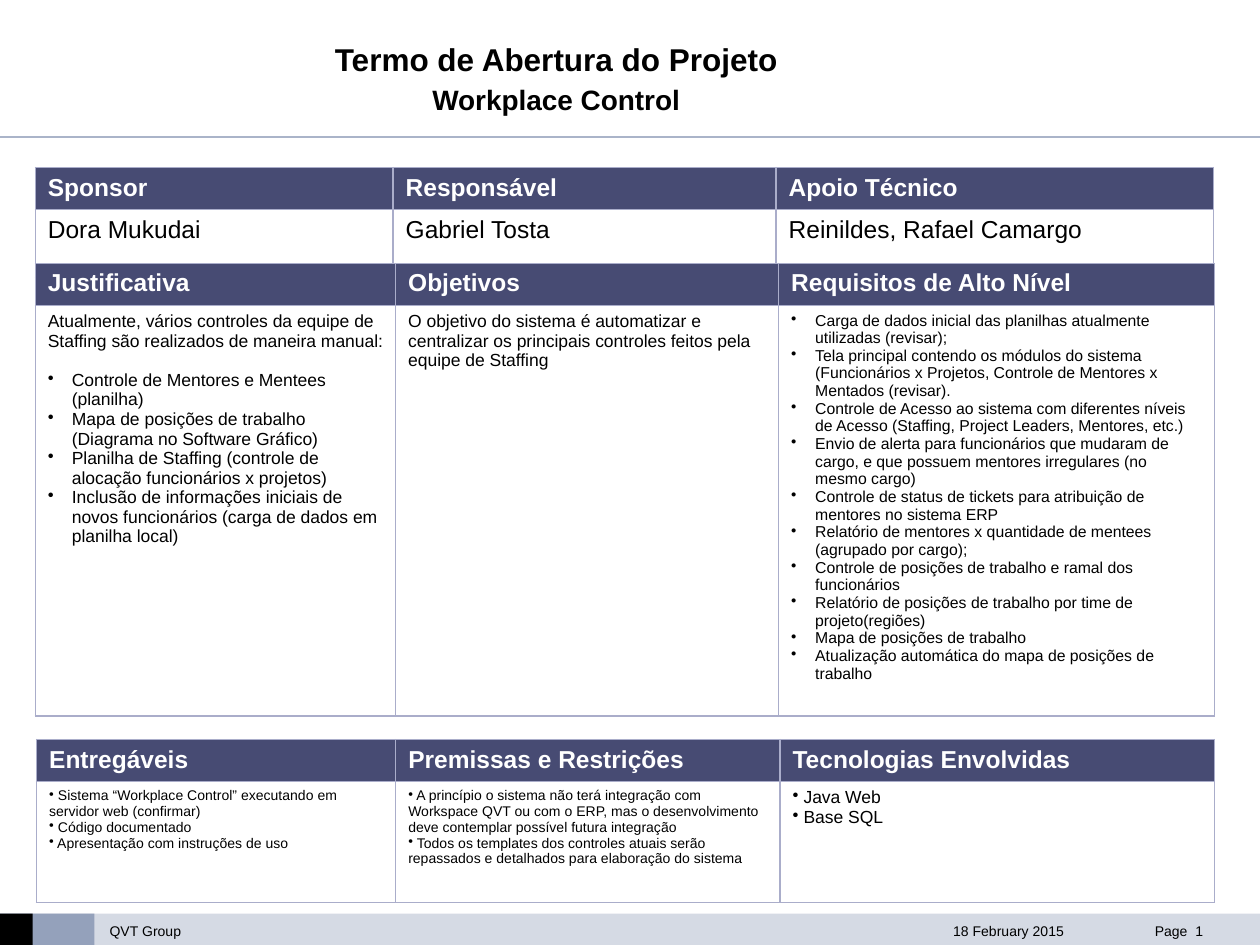
from lxml.etree import SubElement as Sub, Element
from pptx import Presentation
from pptx.dml.color import RGBColor as Rgb
from pptx.enum.shapes import MSO_CONNECTOR as Conn, MSO_SHAPE as Kind
from pptx.enum.text import MSO_ANCHOR as Anchor, MSO_AUTO_SIZE as Auto, PP_ALIGN as Align
from pptx.oxml.ns import qn
from pptx.util import Inches as In, Pt

WIDE, HIGH = 10, 7.5
FOOT = 7.25
HEAD = 0.32
HANG = 0.19
COLORS = {
    "rule": "AAB4C9", "band": "D5DAE4", "mid": "94A1BB", "black": "000000",
    "white": "FFFFFF", "head": "474B73", "edge": "AAADCA",
}

PEOPLE = [
    ("Sponsor", 14, None, ["Dora Mukudai"]),
    ("Responsável", 14, None, ["Gabriel Tosta"]),
    ("Apoio Técnico", 14, None, ["Reinildes, Rafael Camargo"]),
]
SCOPE = [
    ("Justificativa", 10, HANG, [
        "Controle de Mentores e Mentees (planilha)",
        "Mapa de posições de trabalho (Diagrama no Software Gráfico)",
        "Planilha de Staffing (controle de alocação funcionários x projetos)",
        "Inclusão de informações iniciais de novos funcionários "
        "(carga de dados em planilha local)",
    ], "Atualmente, vários controles da equipe de Staffing "
       "são realizados de maneira manual:"),
    ("Objetivos", 10, None, [
        "O objetivo do sistema é automatizar e centralizar os principais "
        "controles feitos pela equipe de Staffing",
    ]),
    ("Requisitos de Alto Nível", 9, HANG, [
        "Carga de dados inicial das planilhas atualmente utilizadas (revisar);",
        "Tela principal contendo os módulos do sistema (Funcionários x Projetos, "
        "Controle de Mentores x Mentados (revisar).",
        "Controle de Acesso ao sistema com diferentes níveis de Acesso "
        "(Staffing, Project Leaders, Mentores, etc.)",
        "Envio de alerta para funcionários que mudaram de cargo, e que possuem "
        "mentores irregulares (no mesmo cargo)",
        "Controle de status de tickets para atribuição de mentores no sistema ERP",
        "Relatório de mentores x quantidade de mentees (agrupado por cargo);",
        "Controle de posições de trabalho e ramal dos funcionários",
        "Relatório de posições de trabalho por time de projeto(regiões)",
        "Mapa de posições de trabalho",
        "Atualização automática do mapa de posições de trabalho",
    ]),
]
OUTPUT = [
    ("Entregáveis", 8, 0, [
        " Sistema “Workplace Control” executando em servidor web (confirmar)",
        " Código documentado",
        " Apresentação com instruções de uso",
    ]),
    ("Premissas e Restrições", 8, 0, [
        " A princípio o sistema não terá integração com Workspace QVT ou com o "
        "ERP, mas o desenvolvimento deve contemplar possível futura integração",
        " Todos os templates dos controles atuais serão repassados e detalhados "
        "para elaboração do sistema",
    ]),
    ("Tecnologias Envolvidas", 10, 0, [" Java Web", " Base SQL"]),
]


def color(name):
    return Rgb.from_string(COLORS[name])


def style(para, size, ink="black", bold=False):
    font = para.font
    font.name, font.size, font.bold = "Arial", Pt(size), bold
    font.color.rgb = color(ink)


def bullet(para, hang):
    props = para._p.get_or_add_pPr()
    props.set("marL", str(In(hang)))
    props.set("indent", str(-In(hang)))
    Sub(props, qn("a:buChar"), char="•")


def border(cell):
    props = cell._tc.get_or_add_tcPr()
    for spot, side in enumerate(("lnL", "lnR", "lnT", "lnB")):
        line = Element(qn("a:" + side), w=str(Pt(1)))
        fill = Sub(line, qn("a:solidFill"))
        Sub(fill, qn("a:srgbClr"), val=COLORS["edge"])
        props.insert(spot, line)


def write(cell, size, hang, items, lead=None):
    frame = cell.text_frame
    frame.text = "\n".join(([lead] if lead else []) + items)
    for spot, para in enumerate(frame.paragraphs):
        if lead and spot == 0:
            para.space_after = Pt(11.3)
        elif hang is not None:
            bullet(para, hang)
        style(para, size)


def grid(slide, left, top, cols, body, data):
    table = slide.shapes.add_table(
        2, len(cols), In(left), In(top), In(sum(cols)), In(HEAD + body)).table
    table.horz_banding = False
    for row, tall in zip(table.rows, (HEAD, body)):
        row.height = In(tall)
    for spot, (wide, (name, *text)) in enumerate(zip(cols, data)):
        table.columns[spot].width = In(wide)
        head, cell = table.cell(0, spot), table.cell(1, spot)
        head.text = name
        style(head.text_frame.paragraphs[0], 14, "white", True)
        head.fill.solid()
        head.fill.fore_color.rgb = color("head")
        write(cell, *text)
        cell.fill.background()
        border(head)
        border(cell)


def bar(slide, wide, fill):
    shape = slide.shapes.add_shape(
        Kind.RECTANGLE, 0, In(FOOT), In(wide), In(HIGH - FOOT))
    shape.shadow.inherit = False
    shape.fill.solid()
    shape.fill.fore_color.rgb = color(fill)
    shape.line.fill.background()


def label(slide, left, wide, text, align, pad=0):
    box = slide.shapes.add_textbox(In(left), In(7.22), In(wide), In(0.23))
    frame = box.text_frame
    frame.word_wrap = True
    frame.margin_left, frame.margin_top = In(pad), In(0.1)
    frame.margin_right = frame.margin_bottom = 0
    para = frame.paragraphs[0]
    para.text, para.alignment = text, align
    style(para, 8)


def rule(slide, top):
    line = slide.shapes.add_connector(
        Conn.STRAIGHT, 0, In(top), In(WIDE), In(top))
    line.line.color.rgb = color("rule")
    line.line.width = Pt(1)
    Sub(line._element.spPr, qn("a:effectLst"))


def title(slide, main, minor):
    shape = slide.shapes.title
    shape.left, shape.top = In(0.28), In(0.31)
    shape.width, shape.height = In(8.27), In(0.71)
    frame = shape.text_frame
    frame.auto_size, frame.vertical_anchor = Auto.NONE, Anchor.TOP
    frame.margin_left = frame.margin_right = 0
    frame.margin_top = frame.margin_bottom = 0
    para = frame.paragraphs[0]
    para.alignment, para.line_spacing = Align.CENTER, Pt(22)
    style(para, 18, bold=True)
    para.add_run().text = main
    para.add_line_break()
    run = para.add_run()
    run.text, run.font.size = minor, Pt(16)


def main():
    deck = Presentation()
    deck.slide_width, deck.slide_height = In(WIDE), In(HIGH)
    slide = deck.slides.add_slide(deck.slide_layouts[5])
    rule(slide, 1.09)
    for wide, fill in ((WIDE, "band"), (0.75, "mid"), (0.26, "black")):
        bar(slide, wide, fill)
    label(slide, 0.79, 1.34, "QVT Group", Align.LEFT, 0.08)
    label(slide, 7.41, 1.19, "18 February 2015", Align.CENTER)
    label(slide, 8.68, 0.87, "Page  1", Align.RIGHT)
    title(slide, "Termo de Abertura do Projeto", "Workplace Control")
    grid(slide, 0.28, 1.33, (2.84, 3.04, 3.47), 0.54, PEOPLE)
    grid(slide, 0.28, 2.09, (2.86, 3.04, 3.46), 3.04, SCOPE)
    grid(slide, 0.29, 5.87, (2.85, 3.05, 3.45), 0.96, OUTPUT)
    deck.save("out.pptx")


main()
